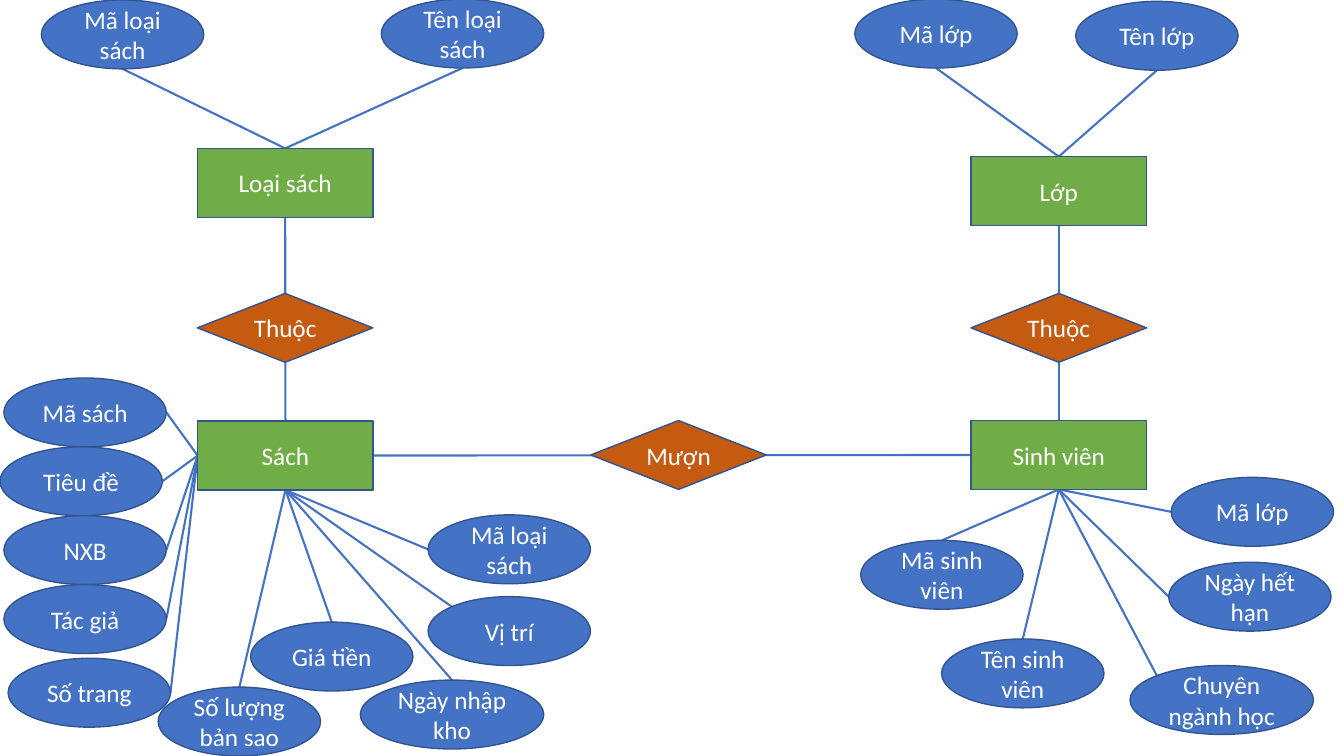
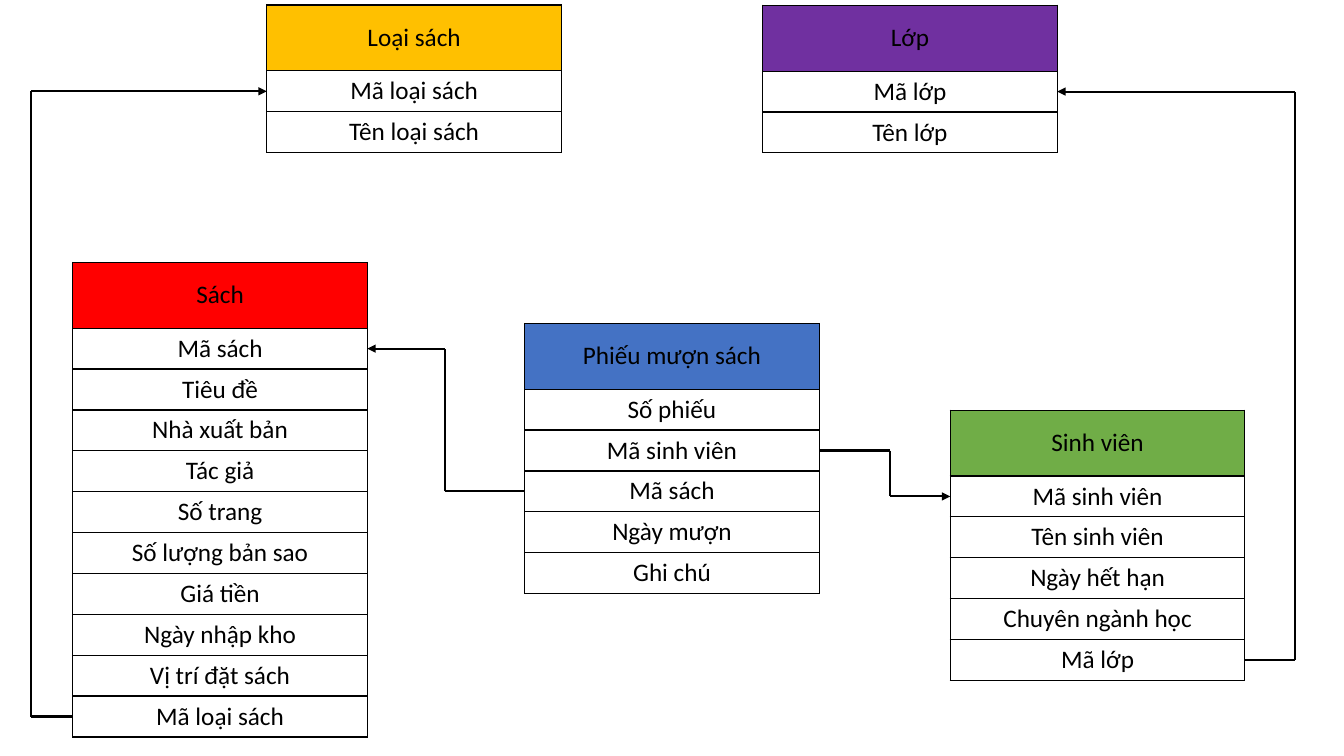
from lxml.etree import SubElement
from pptx import Presentation
from pptx.dml.color import RGBColor
from pptx.enum.shapes import MSO_CONNECTOR, MSO_SHAPE
from pptx.enum.text import MSO_ANCHOR, PP_ALIGN
from pptx.oxml.ns import qn
from pptx.util import Pt

BLUE = RGBColor(0x44, 0x72, 0xC4)
NAVY = RGBColor(0x32, 0x54, 0x91)
GREEN = RGBColor(0x70, 0xAD, 0x47)
RUST = RGBColor(0xC5, 0x5A, 0x11)
GOLD = RGBColor(0xFF, 0xC0, 0x00)
PURPLE = RGBColor(0x70, 0x30, 0xA0)
RED = RGBColor(0xFF, 0x00, 0x00)
WHITE = RGBColor(0xFF, 0xFF, 0xFF)
BLACK = RGBColor(0x00, 0x00, 0x00)

FONT = {"name": "Calibri", "size": Pt(18), "bold": False}

TOP, BOTTOM, LEFT, RIGHT = (0.5, 0), (0.5, 1), (0, 0.5), (1, 0.5)
CORNER = (0.146, 0.146)
BOX_W, OVAL_W, WIDE_W, NODE_H = 125.4, 116, 131, 49.2

ENTITIES = {
    "Loại sách": (141, 106),
    "Sách": (141.2, 300.8),
    "Sinh viên": (693.6, 300.4),
    "Lớp": (693.6, 111.8),
}
RELATIONS = [
    ("Thuộc", 141, 209.6, "Loại sách", BOTTOM, "Sách", TOP),
    ("Mượn", 422, 300.4, "Sách", RIGHT, "Sinh viên", LEFT),
    ("Thuộc", 693.6, 209.6, "Lớp", BOTTOM, "Sinh viên", TOP),
]
FIELDS = [
    ("Loại sách", TOP, BOTTOM, OVAL_W, [
        ("Mã loại sách", 29.6, 0), ("Tên loại sách", 272.4, -0.6)]),
    ("Sách", LEFT, RIGHT, OVAL_W, [
        ("Mã sách", 2.8, 270), ("Tiêu đề", 0, 319.2), ("NXB", 2.8, 368.4),
        ("Tác giả", 2.8, 417.6), ("Số trang", 5.8, 470.2)]),
    ("Sách", BOTTOM, TOP, OVAL_W, [
        ("Số lượng bản sao", 113, 490.8), ("Giá tiền", 179, 444.4)]),
    ("Sách", BOTTOM, CORNER, OVAL_W, [("Vị trí", 305.8, 426.2)]),
    ("Sách", BOTTOM, TOP, WIDE_W, [("Ngày nhập kho", 257.4, 485.8)]),
    ("Sách", BOTTOM, LEFT, OVAL_W, [("Mã loại sách", 305.8, 367.8)]),
    ("Sinh viên", BOTTOM, TOP, OVAL_W, [
        ("Tên sinh viên", 672.6, 456.4), ("Mã sinh viên", 614.8, 386)]),
    ("Sinh viên", BOTTOM, LEFT, OVAL_W, [
        ("Ngày hết hạn", 834.8, 401.6), ("Mã lớp", 836.6, 341)]),
    ("Sinh viên", BOTTOM, CORNER, WIDE_W, [("Chuyên ngành học", 807.2, 475.4)]),
    ("Lớp", TOP, BOTTOM, OVAL_W, [
        ("Mã lớp", 610.6, -0.6), ("Tên lớp", 768.4, 1)]),
]

HEAD_H, ROW_H, COL_W = 47, 29.2, 210.4
TABLES = {
    "Loại sách": (190.6, 3.6, GOLD, ["Mã loại sách", "Tên loại sách"]),
    "Lớp": (544.8, 3.8, PURPLE, ["Mã lớp", "Tên lớp"]),
    "Sách": (52, 187.4, RED, [
        "Mã sách", "Tiêu đề", "Nhà xuất bản", "Tác giả", "Số trang",
        "Số lượng bản sao", "Giá tiền", "Ngày nhập kho", "Vị trí đặt sách",
        "Mã loại sách"]),
    "Sinh viên": (678.8, 293, GREEN, [
        "Mã sinh viên", "Tên sinh viên", "Ngày hết hạn", "Chuyên ngành học",
        "Mã lớp"]),
    "Phiếu mượn sách": (374.8, 231, BLUE, [
        "Số phiếu", "Mã sinh viên", "Mã sách", "Ngày mượn", "Ghi chú"]),
}
KEYS = [
    ("Mã loại sách", "Sách", 0, 22.2, "Loại sách", 0),
    ("Mã lớp", "Sinh viên", 1, 925, "Lớp", 1),
    ("Mã sách", "Phiếu mượn sách", 0, 317.6, "Sách", 1),
    ("Mã sinh viên", "Phiếu mượn sách", 1, 635.8, "Sinh viên", 0),
]


def style(frame, color):
    para = frame.paragraphs[0]
    para.alignment = PP_ALIGN.CENTER
    for name, value in FONT.items():
        setattr(para.font, name, value)
    para.font.color.rgb = color


def line(slide, start, end, color, arrow=False):
    ends = [Pt(v) for v in (*start, *end)]
    wire = slide.shapes.add_connector(MSO_CONNECTOR.STRAIGHT, *ends)
    wire.line.color.rgb = color
    wire.line.width = Pt(1.5)
    if arrow:
        SubElement(wire.line._get_or_add_ln(), qn("a:tailEnd"), type="triangle")
    SubElement(wire._element.spPr, qn("a:effectLst"))


def node(slide, kind, text, x, y, width, fill):
    shape = slide.shapes.add_shape(kind, Pt(x), Pt(y), Pt(width), Pt(NODE_H))
    shape.shadow.inherit = False
    shape.fill.solid()
    shape.fill.fore_color.rgb = fill
    shape.line.color.rgb = NAVY
    shape.line.width = Pt(1)
    shape.text_frame.text = text
    style(shape.text_frame, WHITE)


def point(x, y, width, side):
    return x + width * side[0], y + NODE_H * side[1]


def draw_model(slide):
    for _, _, _, first, out, last, into in RELATIONS:
        line(slide, point(*ENTITIES[first], BOX_W, out),
             point(*ENTITIES[last], BOX_W, into), BLUE)
    for owner, out, into, width, ovals in FIELDS:
        start = point(*ENTITIES[owner], BOX_W, out)
        for _, x, y in ovals:
            line(slide, start, point(x, y, width, into), BLUE)
    for text, (x, y) in ENTITIES.items():
        node(slide, MSO_SHAPE.RECTANGLE, text, x, y, BOX_W, GREEN)
    for text, x, y, *_ in RELATIONS:
        node(slide, MSO_SHAPE.FLOWCHART_DECISION, text, x, y, BOX_W, RUST)
    for _, _, _, width, ovals in FIELDS:
        for text, x, y in ovals:
            node(slide, MSO_SHAPE.OVAL, text, x, y, width, BLUE)


def border(cell):
    props = cell._tc.get_or_add_tcPr()
    for side in ("lnL", "lnR", "lnT", "lnB"):
        edge = SubElement(props, qn(f"a:{side}"), w=str(Pt(1)))
        fill = SubElement(edge, qn("a:solidFill"))
        SubElement(fill, qn("a:srgbClr"), val=str(BLACK))


def draw_table(slide, title, x, y, color, names):
    height = HEAD_H + ROW_H * len(names)
    grid = slide.shapes.add_table(
        len(names) + 1, 1, Pt(x), Pt(y), Pt(COL_W), Pt(height)).table
    grid.first_row = grid.horz_banding = False
    for i, text in enumerate([title, *names]):
        grid.rows[i].height = Pt(ROW_H if i else HEAD_H)
        cell = grid.cell(i, 0)
        cell.text = text
        style(cell.text_frame, BLACK)
        border(cell)
        if i:
            cell.fill.background()
        else:
            cell.vertical_anchor = MSO_ANCHOR.MIDDLE
            cell.fill.solid()
            cell.fill.fore_color.rgb = color


def port(title, field, side):
    x, y, _, names = TABLES[title]
    return x + COL_W * side, y + HEAD_H + ROW_H * (names.index(field) + 0.5)


def draw_schema(slide):
    for title, parts in TABLES.items():
        draw_table(slide, title, *parts)
    for field, first, out, turn, last, into in KEYS:
        start, end = port(first, field, out), port(last, field, into)
        low, high = (turn, start[1]), (turn, end[1])
        line(slide, start, low, BLACK)
        line(slide, low, high, BLACK)
        line(slide, high, end, BLACK, True)


def main():
    deck = Presentation()
    deck.slide_width, deck.slide_height = Pt(960), Pt(540)
    for draw in (draw_model, draw_schema):
        draw(deck.slides.add_slide(deck.slide_layouts[6]))
    deck.save("out.pptx")


if __name__ == "__main__":
    main()
